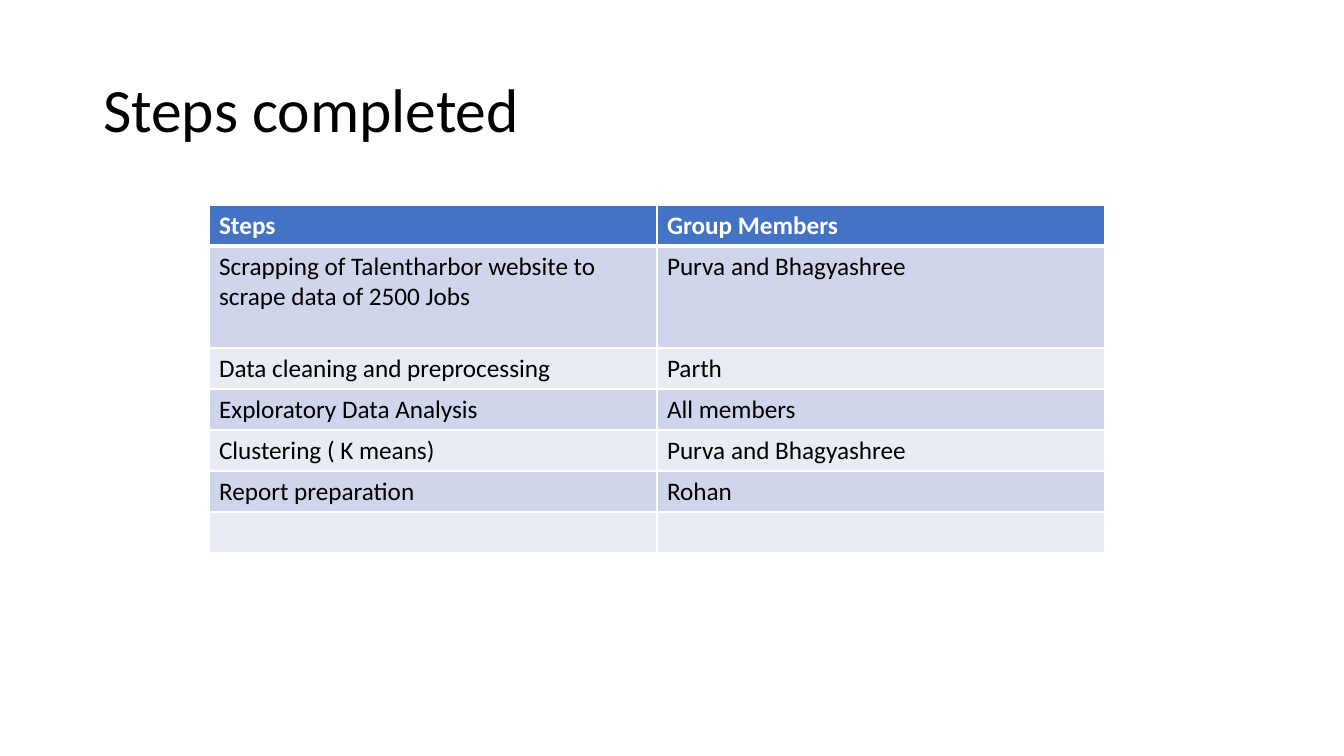
from lxml import etree
from pptx import Presentation
from pptx import util as u
from pptx.dml import color
from pptx.enum import text
from pptx.oxml import ns

SCALE = 914400 / 100.8
FONT = "Calibri"
ROWS = [
    ("Steps", "Group Members"),
    ("Scrapping of Talentharbor website to scrape data of 2500 Jobs",
     "Purva and Bhagyashree"),
    ("Data cleaning and preprocessing", "Parth"),
    ("Exploratory Data Analysis", "All members"),
    ("Clustering ( K means)", "Purva and Bhagyashree"),
    ("Report preparation", "Rohan"),
    ("", ""),
]


def px(n):
    return u.Emu(round(n * SCALE))


def paint(target, code):
    target.rgb = color.RGBColor.from_string(code)


def write(para, words, size, code, bold=False):
    run = para.add_run()
    run.text = words
    run.font.name = FONT
    run.font.size = u.Pt(size)
    run.font.bold = bold
    paint(run.font.color, code)


def border(cell, head):
    props = cell._tc.get_or_add_tcPr()
    for spot, side in enumerate(("lnL", "lnR", "lnT", "lnB")):
        width = u.Pt(3 if head and side == "lnB" else 1)
        line = etree.Element(ns.qn("a:" + side), w=str(width))
        fill = etree.SubElement(line, ns.qn("a:solidFill"))
        etree.SubElement(fill, ns.qn("a:srgbClr"), val="FFFFFF")
        props.insert(spot, line)


def add_title(slide, x, y, w, h):
    title = slide.shapes.title
    title.left, title.top, title.width, title.height = map(px, (x, y, w, h))
    frame = title.text_frame
    frame.word_wrap = True
    frame.vertical_anchor = text.MSO_ANCHOR.MIDDLE
    para = frame.paragraphs[0]
    para.alignment = text.PP_ALIGN.LEFT
    para.line_spacing = 0.9
    write(para, "Steps completed", 44, "000000")


def add_steps(slide, x, y, w, row_h, tall_h):
    heights = [tall_h if i == 1 else row_h for i in range(len(ROWS))]
    table = slide.shapes.add_table(
        len(ROWS), 2, px(x), px(y), px(w), px(sum(heights))).table
    for col in table.columns:
        col.width = px(w / 2)
    for i, (row, words) in enumerate(zip(table.rows, ROWS)):
        row.height = px(heights[i])
        head = i == 0
        shade = "4472C4" if head else ("E9EBF5", "CFD5EA")[i % 2]
        for cell, label in zip(row.cells, words):
            cell.fill.solid()
            paint(cell.fill.fore_color, shade)
            border(cell, head)
            para = cell.text_frame.paragraphs[0]
            if label:
                write(para, label, 18, "FFFFFF" if head else "000000", head)
            else:
                para.font.size = u.Pt(18)


def main():
    deck = Presentation()
    deck.slide_width, deck.slide_height = px(1344), px(756)
    slide = deck.slides.add_slide(deck.slide_layouts[5])
    # Heading
    add_title(slide, 93, 40, 1159, 146)
    # Steps and who did them
    add_steps(slide, 209, 205, 896, 41, 102)
    deck.save("out.pptx")


if __name__ == "__main__":
    main()
